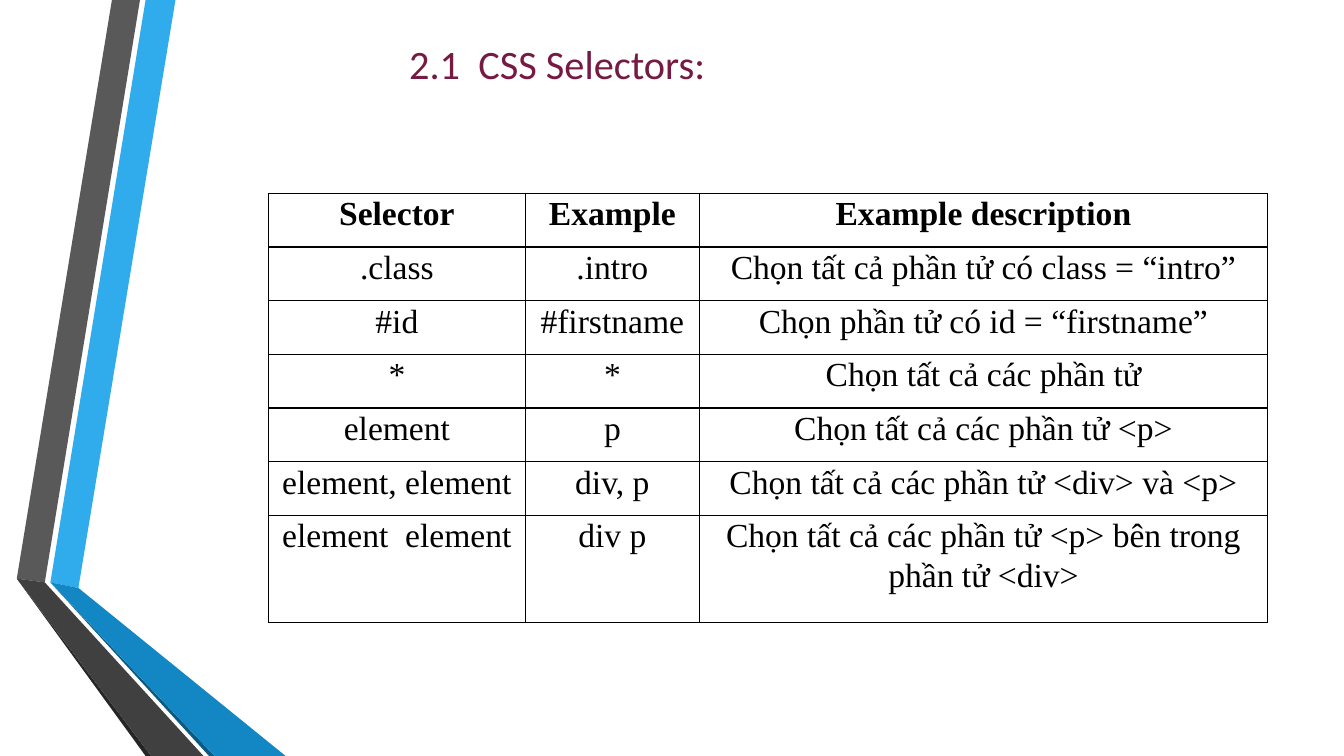
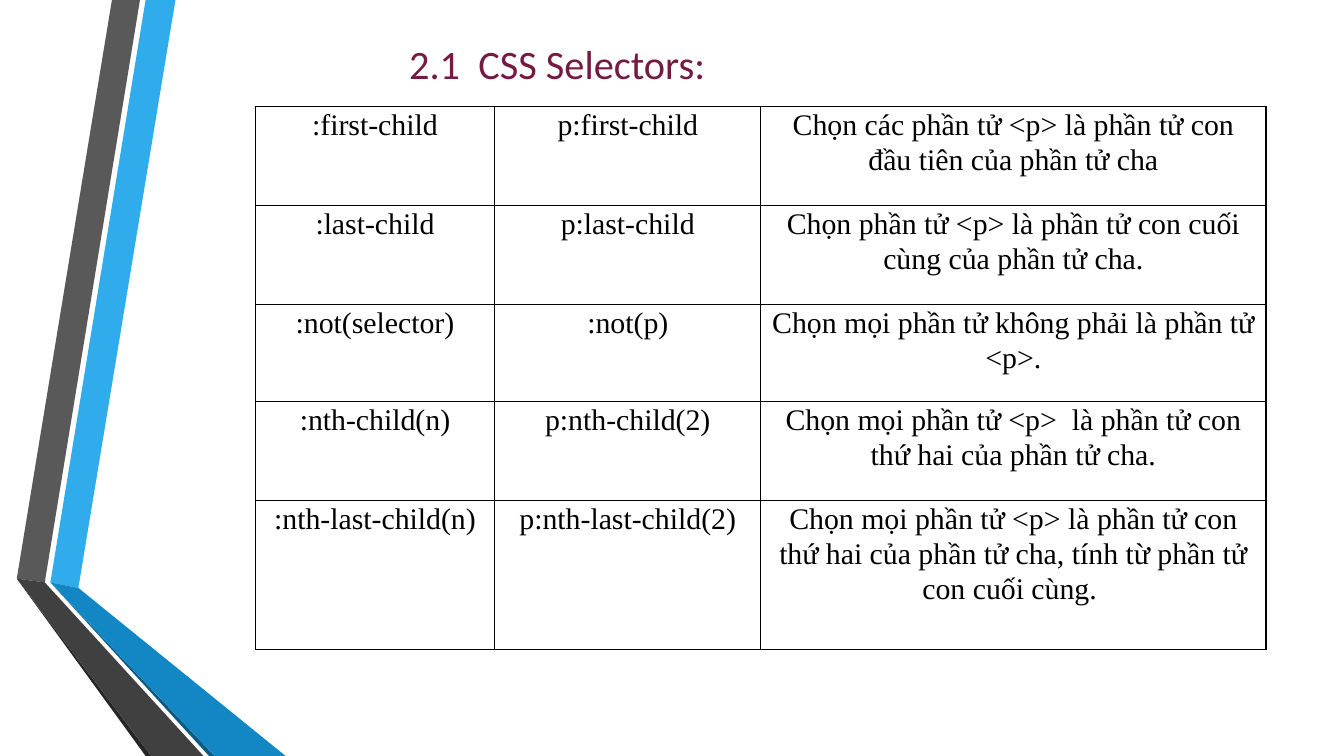
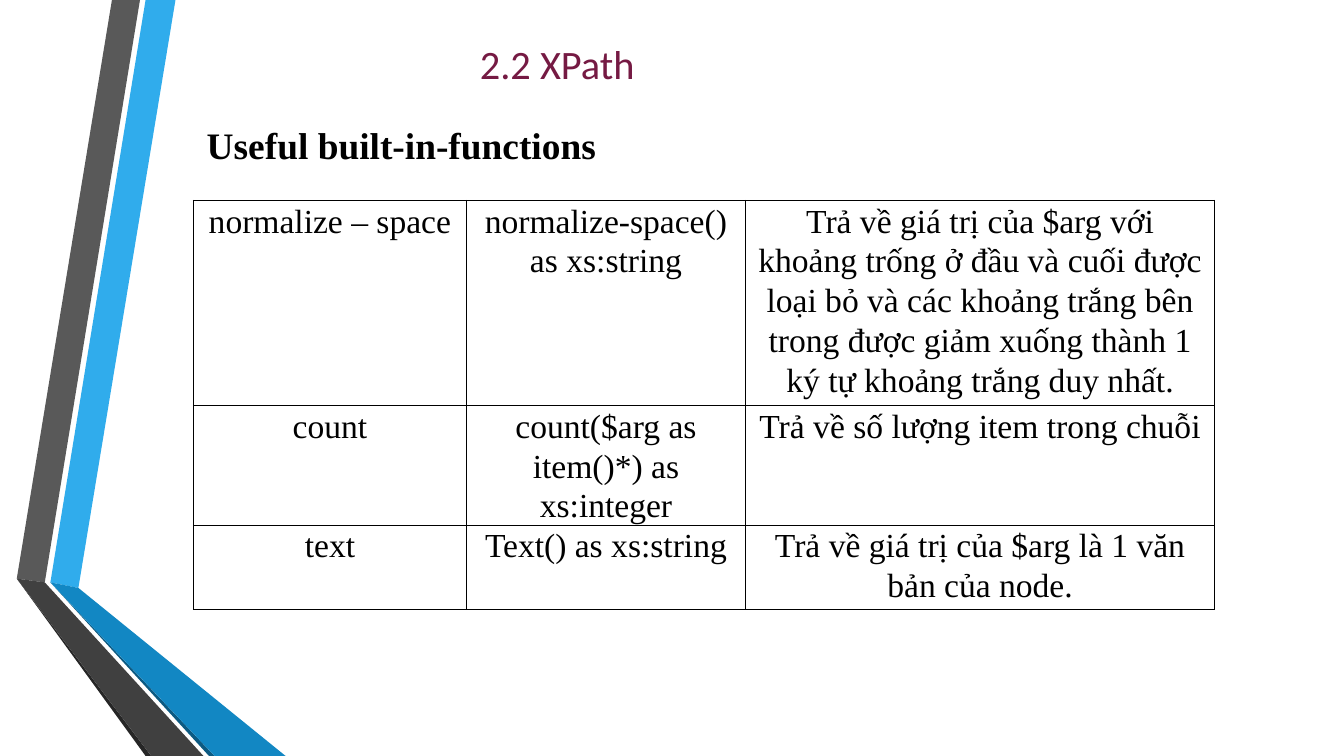
"""Build three slides of CSS selector and XPath reference tables."""
from dataclasses import dataclass

from lxml.etree import SubElement
from pptx import Presentation
from pptx.dml.color import RGBColor
from pptx.enum.text import MSO_ANCHOR, MSO_AUTO_SIZE, PP_ALIGN
from pptx.oxml.ns import qn
from pptx.util import Pt


@dataclass(frozen=True)
class Theme:
    title_font: str = "Calibri"
    body_font: str = "Times New Roman"
    title_color: str = "751A43"
    ink: str = "000000"
    sky: str = "30ACEC"
    blue: str = "1287C3"
    navy: str = "0C5A82"
    gray: str = "595959"
    charcoal: str = "404040"
    black: str = "262626"
    title_size: float = 21.6
    heading_size: float = 20
    border: float = 0.75
    line_spacing: float = 1.07


T = Theme()
WIDTH, HEIGHT = 720, 405
TITLE_BOX = (59, 11.5, 484, 42.5)
HEADING_BOX = (103.7, 54, 484, 42.5)

GRAY_BEND, GRAY_INNER = (9, 309.6), (23.8, 311.8)
BLUE_BEND, BLUE_INNER = (27.4, 312.5), (41.8, 314.6)
RIBBONS = [
    (T.sky, [BLUE_BEND, BLUE_INNER, (93.6, 0), (78.5, 0)]),
    (T.gray, [(74.9, 0), (59.8, 0), GRAY_BEND, GRAY_INNER]),
    (T.black, [GRAY_BEND, (78.5, HEIGHT), (81.4, HEIGHT)]),
    (T.navy, [BLUE_BEND, (112.3, HEIGHT), (115.2, HEIGHT)]),
    (T.blue, [BLUE_BEND, (115.2, HEIGHT), (152.6, HEIGHT), BLUE_INNER]),
    (T.charcoal, [GRAY_BEND, (81.4, HEIGHT), (108.7, HEIGHT), GRAY_INNER]),
]

SLIDES = [
    {
        "title": "2.1  CSS Selectors: ",
        "at": (143.8, 103.6), "size": 18, "header": True,
        "cols": [137.7, 93.2, 304.5], "rows": [28.75] * 6 + [57.5],
        "cells": [
            ("Selector", "Example", "Example description"),
            (".class", ".intro", "Chọn tất cả phần tử có class = “intro”"),
            ("#id", "#firstname", "Chọn phần tử có id = “firstname”"),
            ("*", "*", "Chọn tất cả các phần tử"),
            ("element", "p", "Chọn tất cả các phần tử <p>"),
            ("element, element", "div, p", "Chọn tất cả các phần tử <div> và <p>"),
            ("element  element", "div p",
             "Chọn tất cả các phần tử <p> bên trong phần tử <div>"),
        ],
    },
    {
        "title": "2.1  CSS Selectors: ",
        "at": (136.8, 57), "size": 16, "header": False,
        "cols": [128.3, 142.5, 270.6], "rows": [53, 53, 52, 53, 80],
        "cells": [
            (":first-child", "p:first-child",
             "Chọn các phần tử <p> là phần tử con đầu tiên của phần tử cha"),
            (":last-child", "p:last-child",
             "Chọn phần tử <p> là phần tử con cuối cùng của phần tử cha."),
            (":not(selector)", ":not(p)",
             "Chọn mọi phần tử không phải là phần tử <p>."),
            (":nth-child(n)", "p:nth-child(2)",
             "Chọn mọi phần tử <p>  là phần tử con thứ hai của phần tử cha."),
            (":nth-last-child(n)", "p:nth-last-child(2)",
             "Chọn mọi phần tử <p> là phần tử con thứ hai của phần tử cha, "
             "tính từ phần tử con cuối cùng. "),
        ],
    },
    {
        "title": "2.2 XPath ", "heading": "Useful built-in-functions",
        "at": (103.7, 107.4), "size": 18, "header": False,
        "cols": [146.2, 149.6, 251.3], "rows": [110, 45, 45],
        "cells": [
            ("normalize – space", "normalize-space() as xs:string",
             "Trả về giá trị của $arg với khoảng trống ở đầu và cuối được loại bỏ "
             "và các khoảng trắng bên trong được giảm xuống thành 1 ký tự "
             "khoảng trắng duy nhất."),
            ("count", "count($arg as item()*) as xs:integer",
             "Trả về số lượng item trong chuỗi"),
            ("text", "Text() as xs:string",
             "Trả về giá trị của $arg là 1 văn bản của node."),
        ],
    },
]


def style(p, font, size, color, bold=False, align=PP_ALIGN.CENTER):
    p.alignment = align
    p.font.name, p.font.size, p.font.bold = font, Pt(size), bold
    p.font.color.rgb = RGBColor.from_string(color)


def place_text(sp, box, text):
    sp.left, sp.top, sp.width, sp.height = map(Pt, box)
    tf = sp.text_frame
    tf.text, tf.word_wrap, tf.auto_size = text, True, MSO_AUTO_SIZE.NONE
    tf.vertical_anchor = MSO_ANCHOR.BOTTOM
    tf.margin_left = tf.margin_right = tf.margin_top = tf.margin_bottom = Pt(7.2)
    return tf.paragraphs[0]


def add_ribbons(s, layout):
    for i, (color, points) in enumerate(RIBBONS):
        fb = s.shapes.build_freeform(*points[0], scale=Pt(1))
        fb.add_line_segments(points[1:], close=True)
        sp = fb.convert_to_shape()
        sp.shadow.inherit = False
        sp.fill.solid()
        sp.fill.fore_color.rgb = RGBColor.from_string(color)
        sp.line.fill.background()
        sp.element.nvSpPr.cNvPr.id = 100 + i
        layout.shapes.element.append(sp.element)


def add_borders(cell):
    tcPr = cell._tc.get_or_add_tcPr()
    for side in ("a:lnL", "a:lnR", "a:lnT", "a:lnB"):
        ln = SubElement(tcPr, qn(side), w=str(Pt(T.border)))
        fill = SubElement(ln, qn("a:solidFill"))
        SubElement(fill, qn("a:srgbClr"), val=T.ink)


def add_grid(s, data):
    cols, rows = data["cols"], data["rows"]
    box = (*data["at"], sum(cols), sum(rows))
    table = s.shapes.add_table(len(rows), len(cols), *map(Pt, box)).table
    table.first_row, table.horz_banding = data["header"], False
    for col, width in zip(table.columns, cols):
        col.width = Pt(width)
    for i, (row, height) in enumerate(zip(table.rows, rows)):
        row.height = Pt(height)
        for cell, text in zip(row.cells, data["cells"][i]):
            cell.text = text
            cell.margin_left = cell.margin_right = Pt(5.4)
            cell.margin_top = cell.margin_bottom = 0
            add_borders(cell)
            cell.fill.background()
            p = cell.text_frame.paragraphs[0]
            p.line_spacing = T.line_spacing
            style(p, T.body_font, data["size"], T.ink, data["header"] and i == 0)


def main():
    prs = Presentation()
    prs.slide_width, prs.slide_height = Pt(WIDTH), Pt(HEIGHT)
    layout = prs.slide_layouts[5]
    for i, data in enumerate(SLIDES):
        s = prs.slides.add_slide(layout)
        if i == 0:
            add_ribbons(s, layout)
        p = place_text(s.shapes.title, TITLE_BOX, data["title"])
        style(p, T.title_font, T.title_size, T.title_color)
        if "heading" in data:
            sp = s.shapes.add_textbox(*map(Pt, HEADING_BOX))
            p = place_text(sp, HEADING_BOX, data["heading"])
            style(p, T.body_font, T.heading_size, T.ink, True, PP_ALIGN.LEFT)
        add_grid(s, data)
    prs.save("out.pptx")


if __name__ == "__main__":
    main()
